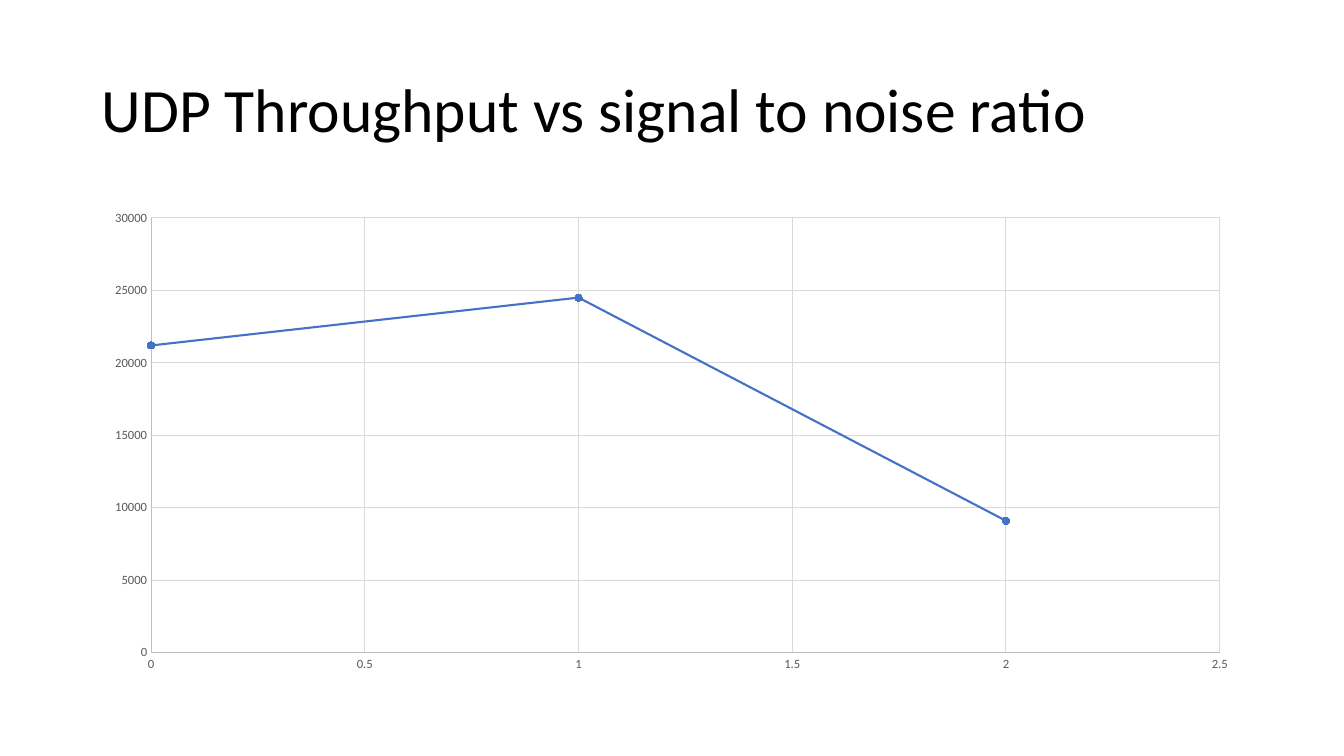
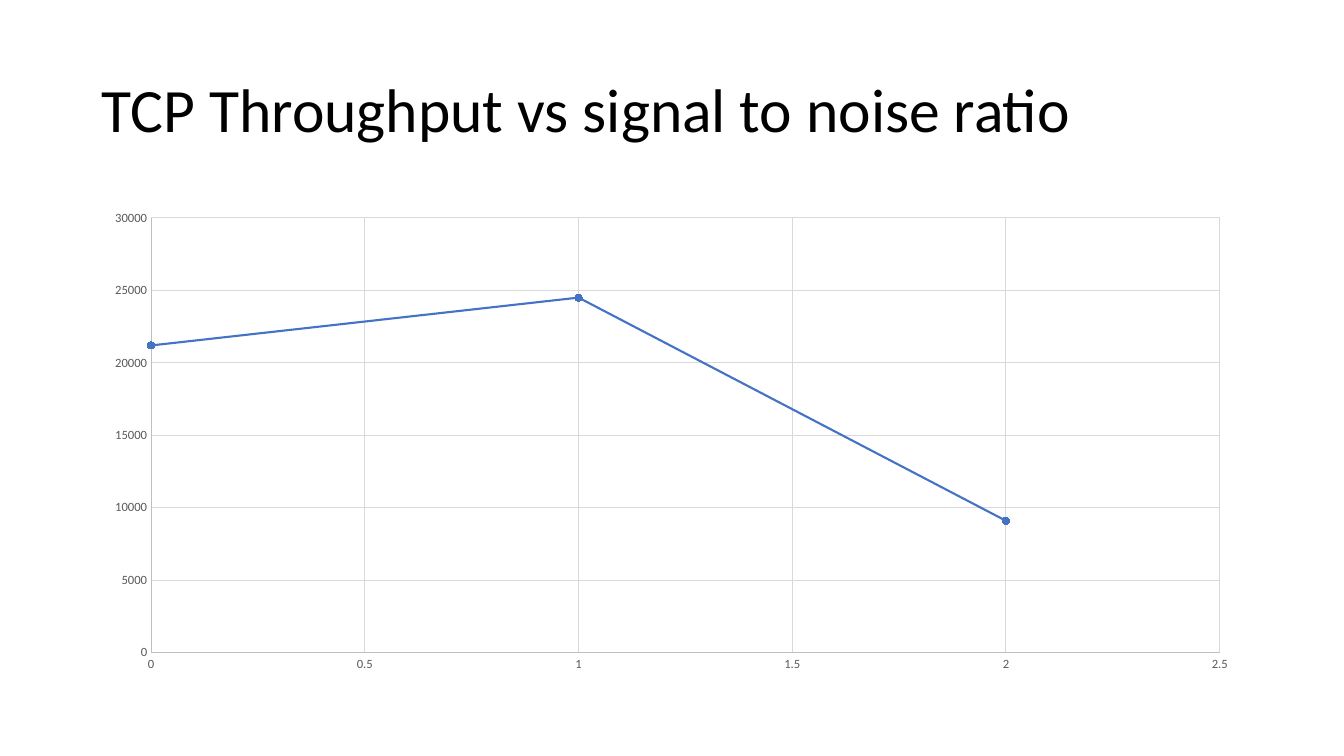
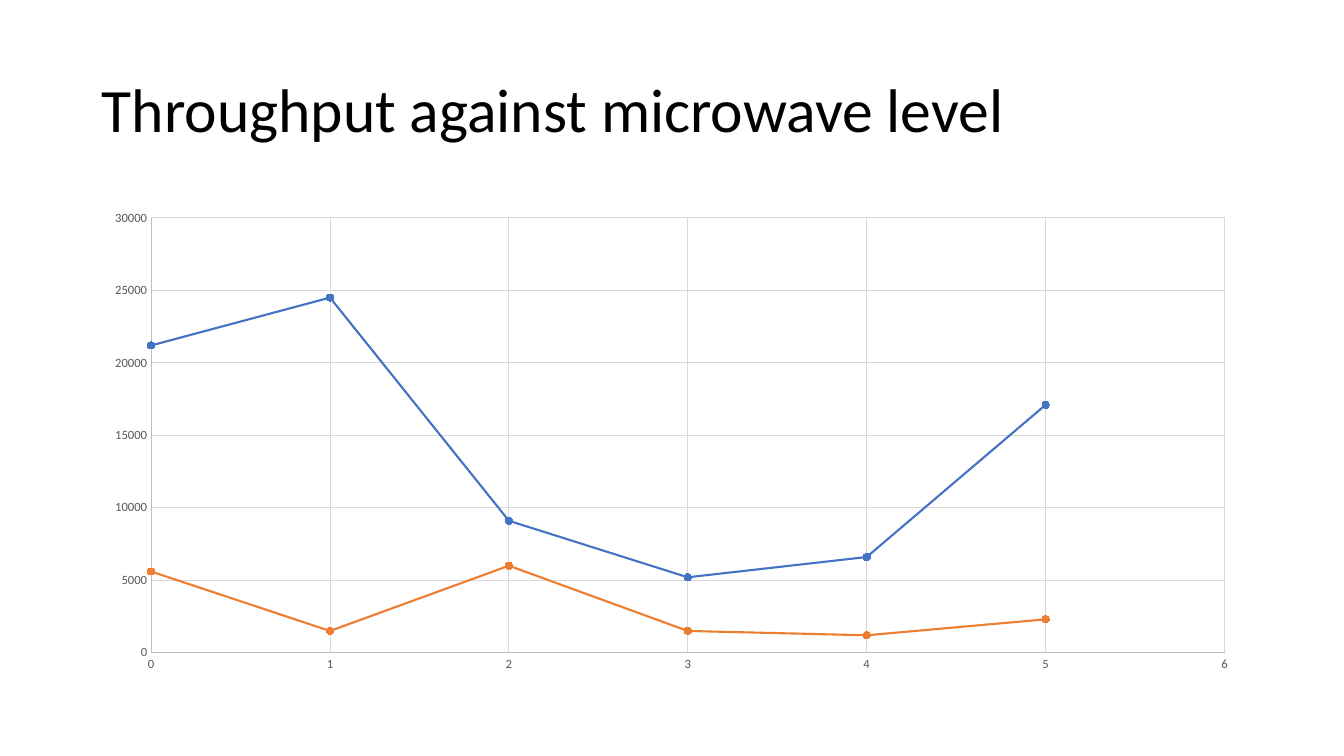
import pptx
import pptx.util
import pptx.dml.color
import pptx.chart.data
import pptx.enum.chart
import pptx.enum.text

# Content: title, largest x, x step, one list of throughputs per series
SIGNAL = [21200, 24500, 9100]
SLIDES = [
    ("UDP Throughput vs signal to noise ratio", 2.5, 0.5, [SIGNAL]),
    ("TCP Throughput vs signal to noise ratio", 2.5, 0.5, [SIGNAL]),
    ("Throughput against microwave level", 6, 1, [
        SIGNAL + [5200, 6600, 17100],
        [5600, 1500, 6000, 1500, 1200, 2300],
    ]),
]

# Shared style, lengths in pixels
FONT = "Calibri"
BLACK, GREY, AXIS, GRID = "000000", "595959", "BFBFBF", "D9D9D9"
COLORS = ["4472C4", "ED7D31"]
SIZE = (1344, 756)
TITLE = (92, 40, 1159, 146)
PLOT = (92, 201, 1159, 480)
SCALE = 914400 / 100.8


def emu(*sizes):
    return [round(size * SCALE) for size in sizes]


def rgb(color):
    return pptx.dml.color.RGBColor.from_string(color)


def style(font, size, color):
    font.name = FONT
    font.size = pptx.util.Pt(size)
    font.color.rgb = rgb(color)


def stroke(line, color, width):
    line.color.rgb = rgb(color)
    line.width = pptx.util.Pt(width)


def add_title(slide, text):
    frame = slide.shapes.add_textbox(*emu(*TITLE)).text_frame
    frame.word_wrap = True
    frame.vertical_anchor = pptx.enum.text.MSO_ANCHOR.MIDDLE
    para = frame.paragraphs[0]
    para.line_spacing = 0.9
    run = para.add_run()
    run.text = text
    style(run.font, 44, BLACK)


def set_axis(axis, top, step):
    axis.minimum_scale, axis.maximum_scale = 0, top
    axis.major_unit = step
    axis.major_tick_mark = pptx.enum.chart.XL_TICK_MARK.NONE
    axis.minor_tick_mark = pptx.enum.chart.XL_TICK_MARK.NONE
    axis.has_major_gridlines = True
    stroke(axis.major_gridlines.format.line, GRID, 0.75)
    stroke(axis.format.line, AXIS, 0.75)
    style(axis.tick_labels.font, 9, GREY)


def add_plot(slide, top, step, lists):
    data = pptx.chart.data.XyChartData()
    for number, values in enumerate(lists, 1):
        series = data.add_series(f"Series {number}")
        for x, y in enumerate(values):
            series.add_data_point(x, y)
    kind = pptx.enum.chart.XL_CHART_TYPE.XY_SCATTER_LINES
    chart = slide.shapes.add_chart(kind, *emu(*PLOT), data).chart
    chart.has_title = False
    chart.has_legend = False
    style(chart.font, 10, BLACK)
    set_axis(chart.category_axis, top, step)
    set_axis(chart.value_axis, 30000, 5000)

    # Lines and round markers
    chart.plots[0].vary_by_categories = False
    for series, color in zip(chart.plots[0].series, COLORS):
        series.smooth = False
        stroke(series.format.line, color, 1.5)
        mark = series.marker
        mark.style = pptx.enum.chart.XL_MARKER_STYLE.CIRCLE
        mark.size = 5
        mark.format.fill.solid()
        mark.format.fill.fore_color.rgb = rgb(color)
        stroke(mark.format.line, color, 0.75)


# Build the slides
deck = pptx.Presentation()
deck.slide_width, deck.slide_height = emu(*SIZE)
for text, top, step, lists in SLIDES:
    slide = deck.slides.add_slide(deck.slide_layouts[6])
    add_title(slide, text)
    add_plot(slide, top, step, lists)
deck.save("out.pptx")
